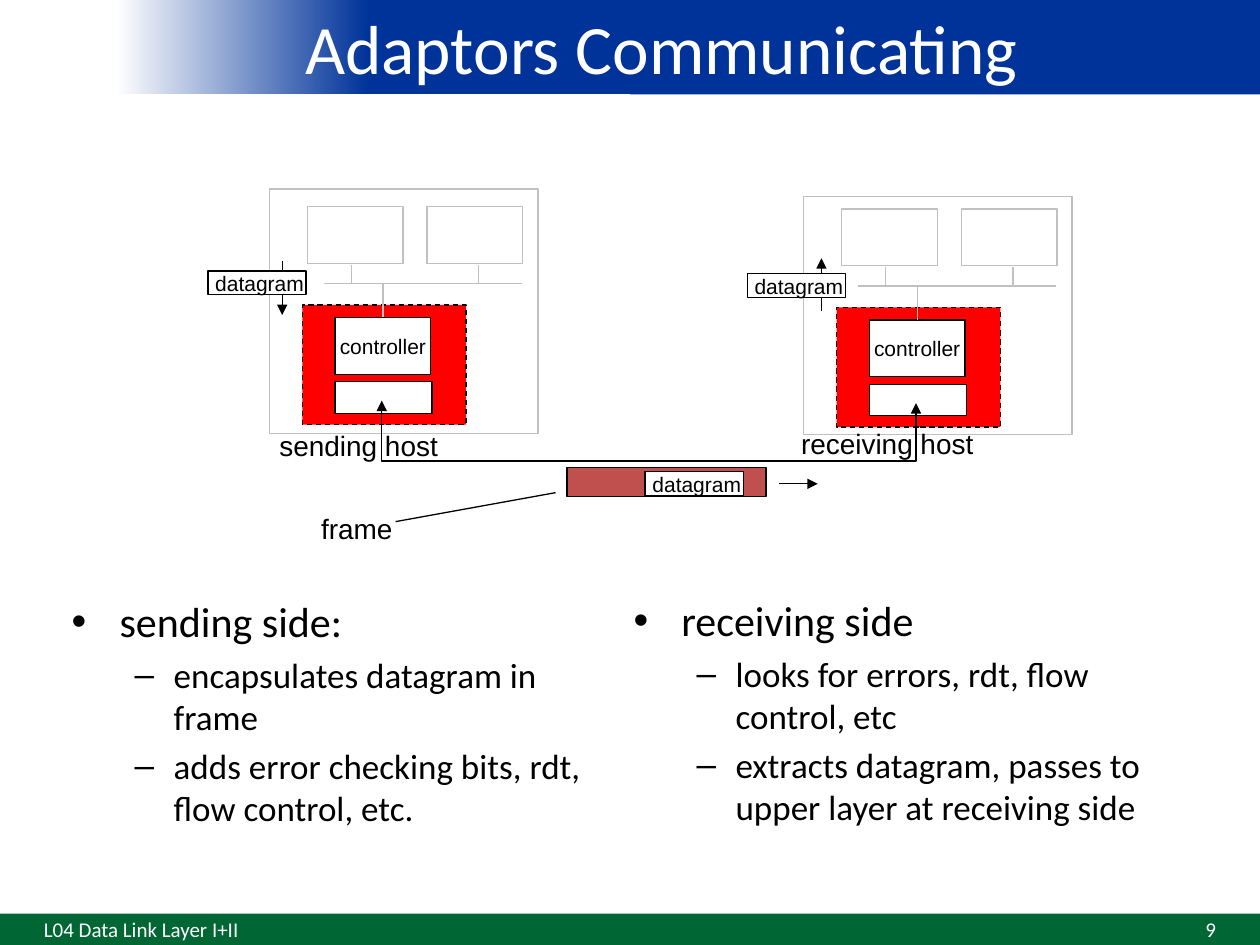
from dataclasses import dataclass

from lxml.etree import SubElement
from pptx import Presentation
from pptx.dml.color import RGBColor
from pptx.enum.dml import MSO_LINE
from pptx.enum.shapes import MSO_CONNECTOR, MSO_SHAPE
from pptx.enum.text import MSO_ANCHOR, MSO_AUTO_SIZE, PP_ALIGN
from pptx.oxml.ns import qn
from pptx.util import Inches, Pt


@dataclass(frozen=True)
class Theme:
    blue: str = "003399"
    green: str = "006633"
    white: str = "FFFFFF"
    black: str = "000000"
    grey: str = "C0C0C0"
    red: str = "FF0000"
    brick: str = "C0504D"
    heading_font: str = "Calibri"
    diagram_font: str = "Arial"
    title_size: float = 39.6
    list_sizes: tuple = (24, 20)
    label_size: int = 16
    small_size: int = 12
    line_width: float = 0.75


THEME = Theme()
TOP = 0  # connection site of a rectangle


def inches(*lengths):
    return [Inches(length) for length in lengths]


def set_font(paragraph, size, name, color):
    font = paragraph.font
    font.size, font.name = Pt(size), name
    font.color.rgb = RGBColor.from_string(color)


def set_line(shape, color):
    shape.line.width = Pt(THEME.line_width)
    shape.line.color.rgb = RGBColor.from_string(color)


def add_arrowheads(shape, *ends):
    outline = shape.line._get_or_add_ln()
    for end in ends:
        SubElement(outline, qn(f"a:{end}"), type="triangle")


def add_box(slide, box, fill, line=None):
    shape = slide.shapes.add_shape(MSO_SHAPE.RECTANGLE, *inches(*box))
    shape.shadow.inherit = False
    shape.fill.solid()
    shape.fill.fore_color.rgb = RGBColor.from_string(fill)
    if line:
        set_line(shape, line)
    else:
        shape.line.fill.background()
    return shape


def add_line(slide, start, end, color=THEME.black, arrow=False):
    connector = slide.shapes.add_connector(
        MSO_CONNECTOR.STRAIGHT, *inches(*start, *end))
    set_line(connector, color)
    if arrow:
        add_arrowheads(connector, "tailEnd")
    SubElement(connector._element.spPr, qn("a:effectLst"))
    return connector


def add_label(slide, box, text, size):
    """Add diagram text that keeps to a single line."""
    label = slide.shapes.add_textbox(*inches(*box))
    frame = label.text_frame
    frame.word_wrap = False
    frame.auto_size = MSO_AUTO_SIZE.SHAPE_TO_FIT_TEXT
    frame.text = text
    set_font(frame.paragraphs[0], size, THEME.diagram_font, THEME.black)


def add_datagram(slide, left, top):
    add_box(slide, (left, top, 0.78, 0.19), THEME.white, THEME.black)
    add_label(slide, (left - 0.04, top - 0.05, 0.95, 0.3), "datagram",
              THEME.small_size)


def add_host(slide, case, parts_top):
    """Draw a host case with its bus, two upper units and network adaptor."""
    left = case[0]
    bus = parts_top + 0.75
    add_box(slide, case, THEME.white, THEME.grey)

    adaptor = add_box(slide, (left + 0.26, parts_top + 0.92, 1.3, 0.95),
                      THEME.red, THEME.black)
    adaptor.line.dash_style = MSO_LINE.DASH
    add_box(slide, (left + 0.52, parts_top + 1.53, 0.77, 0.25),
            THEME.white, THEME.black)
    controller = add_box(slide, (left + 0.52, parts_top + 1.02, 0.76, 0.45),
                         THEME.white, THEME.black)
    frame = controller.text_frame
    frame.word_wrap = False
    frame.vertical_anchor = MSO_ANCHOR.MIDDLE
    frame.text = "controller"
    paragraph = frame.paragraphs[0]
    paragraph.alignment = PP_ALIGN.CENTER
    set_font(paragraph, THEME.small_size, THEME.diagram_font, THEME.black)

    add_line(slide, (left + 0.43, bus), (left + 2, bus), THEME.grey)
    stem = add_line(slide, (left + 0.9, parts_top + 1.02), (left + 0.9, bus),
                    THEME.grey)
    stem.begin_connect(controller, TOP)
    for unit, tap in ((0.3, 0.65), (1.25, 1.66)):
        add_box(slide, (left + unit, parts_top + 0.14, 0.76, 0.45),
                THEME.white, THEME.grey)
        add_line(slide, (left + tap, bus), (left + tap, bus - 0.15),
                 THEME.grey)


def add_wire(slide, points):
    start, *rest = [inches(*point) for point in points]
    builder = slide.shapes.build_freeform(*start)
    builder.add_line_segments(rest, close=False)
    wire = builder.convert_to_shape()
    wire.shadow.inherit = False
    wire.fill.background()
    set_line(wire, THEME.black)
    add_arrowheads(wire, "headEnd", "tailEnd")


def add_bullet_list(slide, box, heading, items):
    frame = slide.shapes.add_textbox(*inches(*box)).text_frame
    frame.word_wrap = True
    styles = (("•", 0.38, 0.38), ("–", 0.81, 0.31))
    for index, text in enumerate([heading, *items]):
        paragraph = frame.paragraphs[0] if index == 0 else frame.add_paragraph()
        level = min(index, 1)
        bullet, margin, hanging = styles[level]
        size = THEME.list_sizes[level]
        paragraph.text, paragraph.level = text, level
        paragraph.space_before = Pt(size * 0.2)
        set_font(paragraph, size, THEME.heading_font, THEME.black)
        properties = paragraph._p.get_or_add_pPr()
        properties.set("marL", str(Inches(margin)))
        properties.set("indent", str(-Inches(hanging)))
        bullet_font = SubElement(properties, qn("a:buFont"), typeface="Arial")
        bullet_char = SubElement(properties, qn("a:buChar"), char=bullet)
        properties.find(qn("a:defRPr")).addprevious(bullet_font)
        bullet_font.addnext(bullet_char)


def add_footer(slide, left, text, alignment):
    frame = slide.shapes.add_textbox(*inches(left, 7.25, 2.33, 0.25)).text_frame
    frame.word_wrap = True
    frame.vertical_anchor = MSO_ANCHOR.MIDDLE
    frame.text = text
    paragraph = frame.paragraphs[0]
    paragraph.alignment = alignment
    set_font(paragraph, THEME.small_size, THEME.heading_font, THEME.white)


def add_bands(slide):
    add_box(slide, (5, 0, 5, 0.75), THEME.blue)
    fade = add_box(slide, (0.75, 0, 4.25, 0.75), THEME.blue).fill
    fade.gradient()
    fade.gradient_angle = 180
    stops = ((0.49, THEME.blue), (0.96, THEME.white))
    for stop, (position, color) in zip(fade.gradient_stops, stops):
        stop.position = position
        stop.color.rgb = RGBColor.from_string(color)
    add_box(slide, (0, 7.25, 10, 0.25), THEME.green)


def set_title(slide, text):
    """Fill the title placeholder and bring it in front of the bands."""
    title = slide.shapes.title
    title.left, title.top, title.width, title.height = inches(0.75, 0, 9, 0.75)
    frame = title.text_frame
    frame.text = text
    frame.vertical_anchor = MSO_ANCHOR.MIDDLE
    frame.auto_size = MSO_AUTO_SIZE.NONE
    paragraph = frame.paragraphs[0]
    paragraph.alignment = PP_ALIGN.CENTER
    set_font(paragraph, THEME.title_size, THEME.heading_font, THEME.white)
    slide.shapes._spTree.append(title._element)


def main():
    presentation = Presentation()
    presentation.slide_width, presentation.slide_height = inches(10, 7.5)
    slide = presentation.slides.add_slide(presentation.slide_layouts[5])
    add_bands(slide)
    set_title(slide, "Adaptors Communicating")
    add_bullet_list(slide, (0.47, 4.68, 4.45, 2.12), "sending side:", [
        "encapsulates datagram in frame",
        "adds error checking bits, rdt, flow control, etc."])
    add_bullet_list(slide, (4.93, 4.67, 4.47, 2.02), "receiving side", [
        "looks for errors, rdt, flow control, etc",
        "extracts datagram, passes to upper layer at receiving side"])

    add_box(slide, (4.5, 3.71, 1.58, 0.23), THEME.brick, THEME.black)
    add_host(slide, (2.14, 1.5, 2.13, 1.94), 1.5)
    add_host(slide, (6.38, 1.56, 2.13, 1.89), 1.52)
    add_line(slide, (2.24, 2.07), (2.24, 2.5), arrow=True)
    add_line(slide, (6.52, 2.47), (6.52, 2.05), arrow=True)
    add_line(slide, (6.18, 3.84), (6.49, 3.84), arrow=True)
    add_line(slide, (3.14, 4.14), (4.41, 3.91))
    for box, text in (((2.12, 3.35, 1.46, 0.37), "sending host"),
                      ((6.26, 3.34, 1.57, 0.37), "receiving host"),
                      ((2.45, 4.01, 0.77, 0.37), "frame")):
        add_label(slide, box, text, THEME.label_size)
    add_wire(slide, [(3.03, 3.18), (3.03, 3.66), (7.27, 3.66), (7.27, 3.2)])
    for left, top in ((1.65, 2.15), (5.93, 2.17), (5.12, 3.74)):
        add_datagram(slide, left, top)

    add_footer(slide, 0.25, "L04 Data Link Layer I+II", PP_ALIGN.LEFT)
    add_footer(slide, 7.42, "9", PP_ALIGN.RIGHT)
    presentation.save("out.pptx")


if __name__ == "__main__":
    main()
